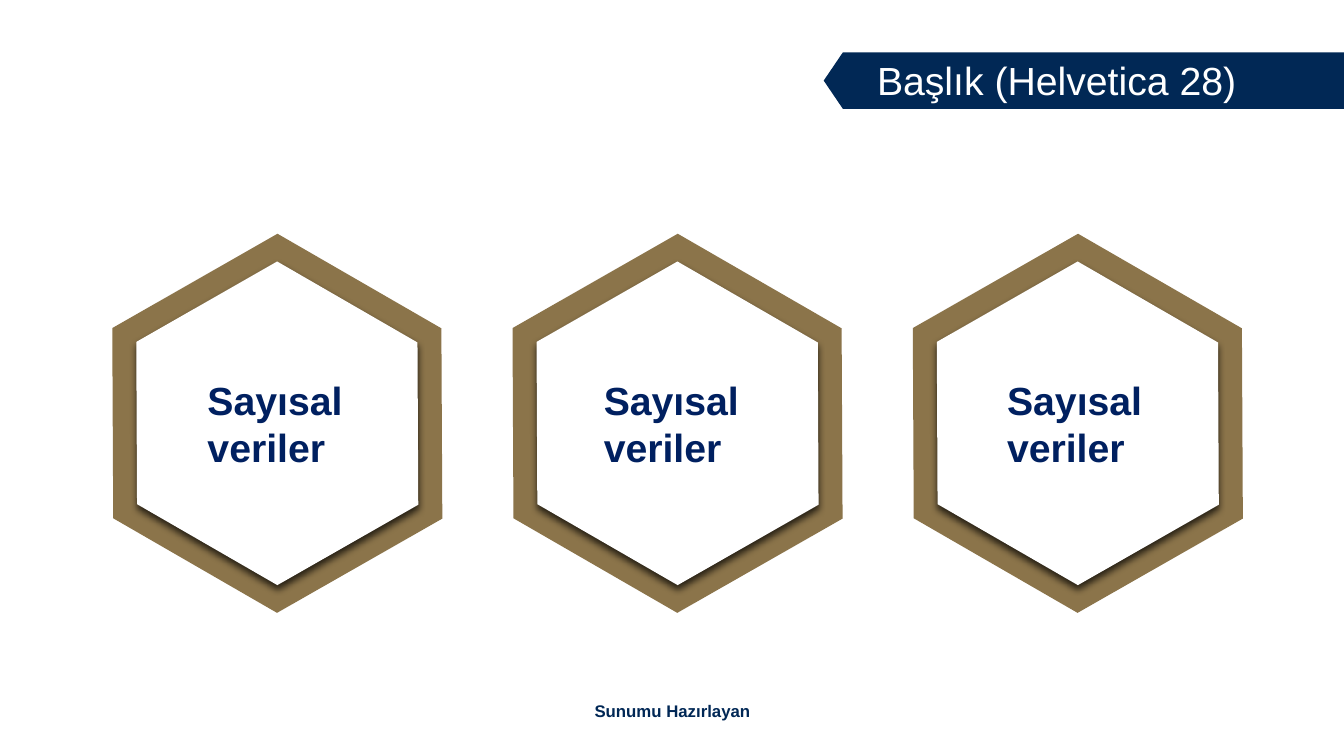
from dataclasses import dataclass

from lxml import etree
from pptx import Presentation
from pptx.dml.color import RGBColor
from pptx.enum import shapes as s, text as t
from pptx.oxml import ns
from pptx.shapes.autoshape import Shape
from pptx.util import Inches, Pt

NAVY, GOLD, WHITE = "012855", "8B744A", "FFFFFF"
WIDTH, HEIGHT = 13.33, 7.5


@dataclass
class Label:
    text: str
    left: float
    top: float
    width: float
    height: float
    size: int
    color: str
    bold: bool = True
    wrap: bool = True
    align: t.PP_ALIGN = t.PP_ALIGN.LEFT


@dataclass
class Badge:
    center: float
    label: Label


def paint(shape: Shape, color: str) -> None:
    shape.fill.solid()
    shape.fill.fore_color.rgb = RGBColor.from_string(color)
    shape.line.fill.background()
    shape.shadow.inherit = False


def write(tree, label: Label) -> None:
    box = tree.add_textbox(Inches(label.left), Inches(label.top),
                           Inches(label.width), Inches(label.height))
    frame = box.text_frame
    frame.word_wrap = label.wrap
    frame.auto_size = t.MSO_AUTO_SIZE.SHAPE_TO_FIT_TEXT
    line = frame.paragraphs[0]
    line.text = label.text
    line.alignment = label.align
    line.font.name = "Arial"
    line.font.size = Pt(label.size)
    line.font.bold = label.bold
    line.font.color.rgb = RGBColor.from_string(label.color)


def shade(shape: Shape) -> None:
    """Give the shape a soft black shadow below it."""
    effects = shape.element.spPr.find(ns.qn("a:effectLst"))
    outer = etree.SubElement(effects, ns.qn("a:outerShdw"), blurRad=str(Pt(5)),
                             dist=str(Pt(3)), dir="5400000", algn="t",
                             rotWithShape="0")
    black = etree.SubElement(outer, ns.qn("a:srgbClr"), val="000000")
    etree.SubElement(black, ns.qn("a:alpha"), val="71000")


def hexagon(tree, center: float, width: float, height: float, color: str) -> Shape:
    middle = 4.2
    shape = tree.add_shape(s.MSO_SHAPE.HEXAGON, Inches(center - width / 2),
                           Inches(middle - height / 2), Inches(width), Inches(height))
    shape.adjustments[0] = 0.292
    shape.rotation = 30
    paint(shape, color)
    return shape


def draw_badge(tree, badge: Badge) -> None:
    group = tree.add_group_shape().shapes
    hexagon(group, badge.center, 3.78, 3.26, GOLD)
    shade(hexagon(group, badge.center, 3.23, 2.78, WHITE))
    write(group, badge.label)


def draw_banner(tree) -> None:
    tip, left, top, middle, bottom = 8.17, 8.36, 0.52, 0.8, 1.08
    pen = tree.build_freeform(Inches(left), Inches(top), scale=1.0)
    corners = [(WIDTH, top), (WIDTH, bottom), (left, bottom), (tip, middle)]
    pen.add_line_segments([(Inches(x), Inches(y)) for x, y in corners], close=True)
    paint(pen.convert_to_shape(), NAVY)


def main() -> None:
    deck = Presentation()
    deck.slide_width, deck.slide_height = Inches(WIDTH), Inches(HEIGHT)
    tree = deck.slides.add_slide(deck.slide_layouts[6]).shapes

    draw_banner(tree)
    write(tree, Label("Başlık (Helvetica 28)", 8.6, 0.51, 3.81, 0.57, 28, WHITE,
                      bold=False, wrap=False))
    first, pitch = 2.75, 3.97
    for index, left in enumerate((1.96, 5.89, 9.89)):
        label = Label("Sayısal veriler", left, 3.68, 2.5, 1.04, 28, "002060")
        draw_badge(tree, Badge(first + index * pitch, label))
    write(tree, Label("Sunumu Hazırlayan", 5.26, 6.9, 2.82, 0.3, 12, "002755",
                      align=t.PP_ALIGN.CENTER))
    deck.save("out.pptx")


if __name__ == "__main__":
    main()
